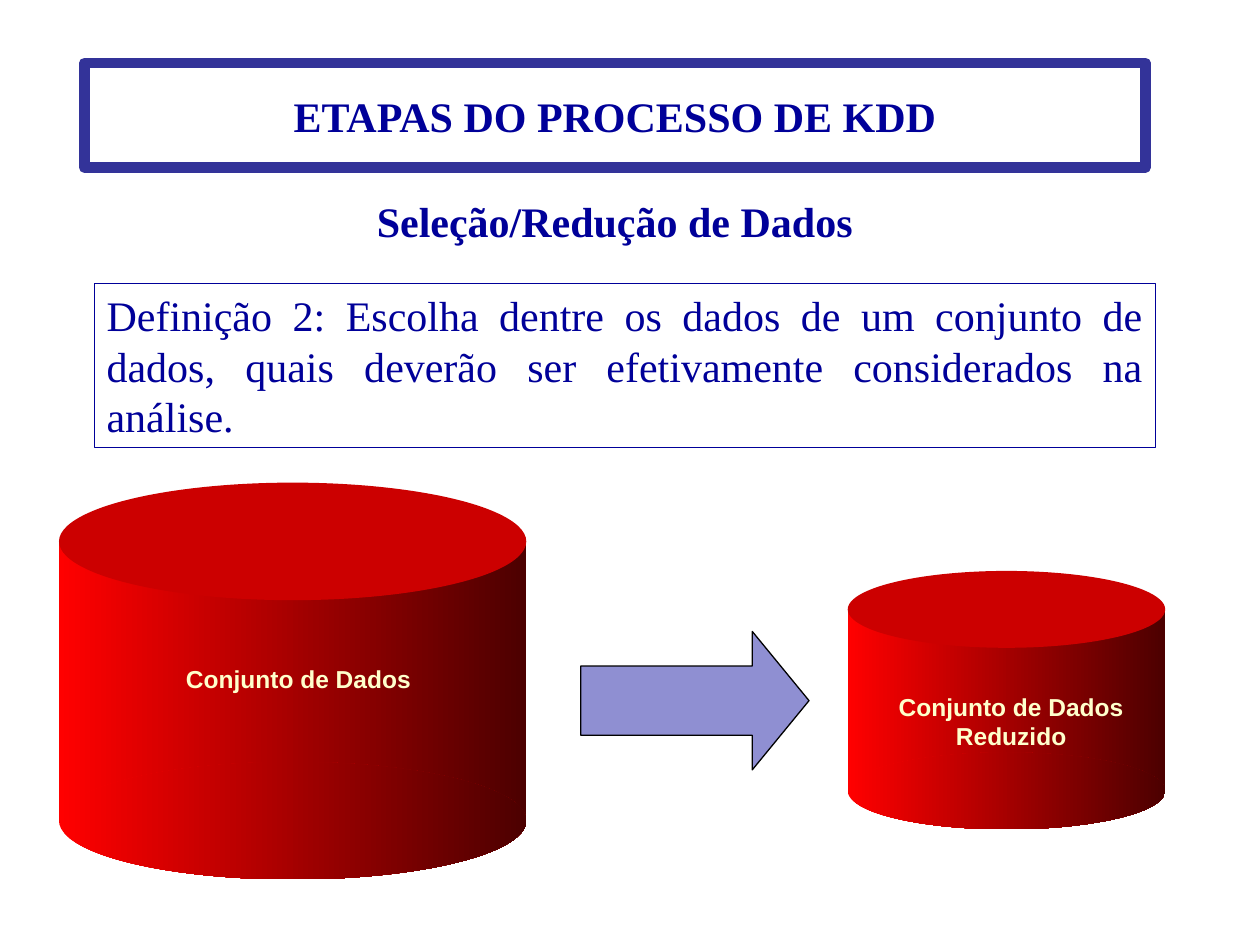
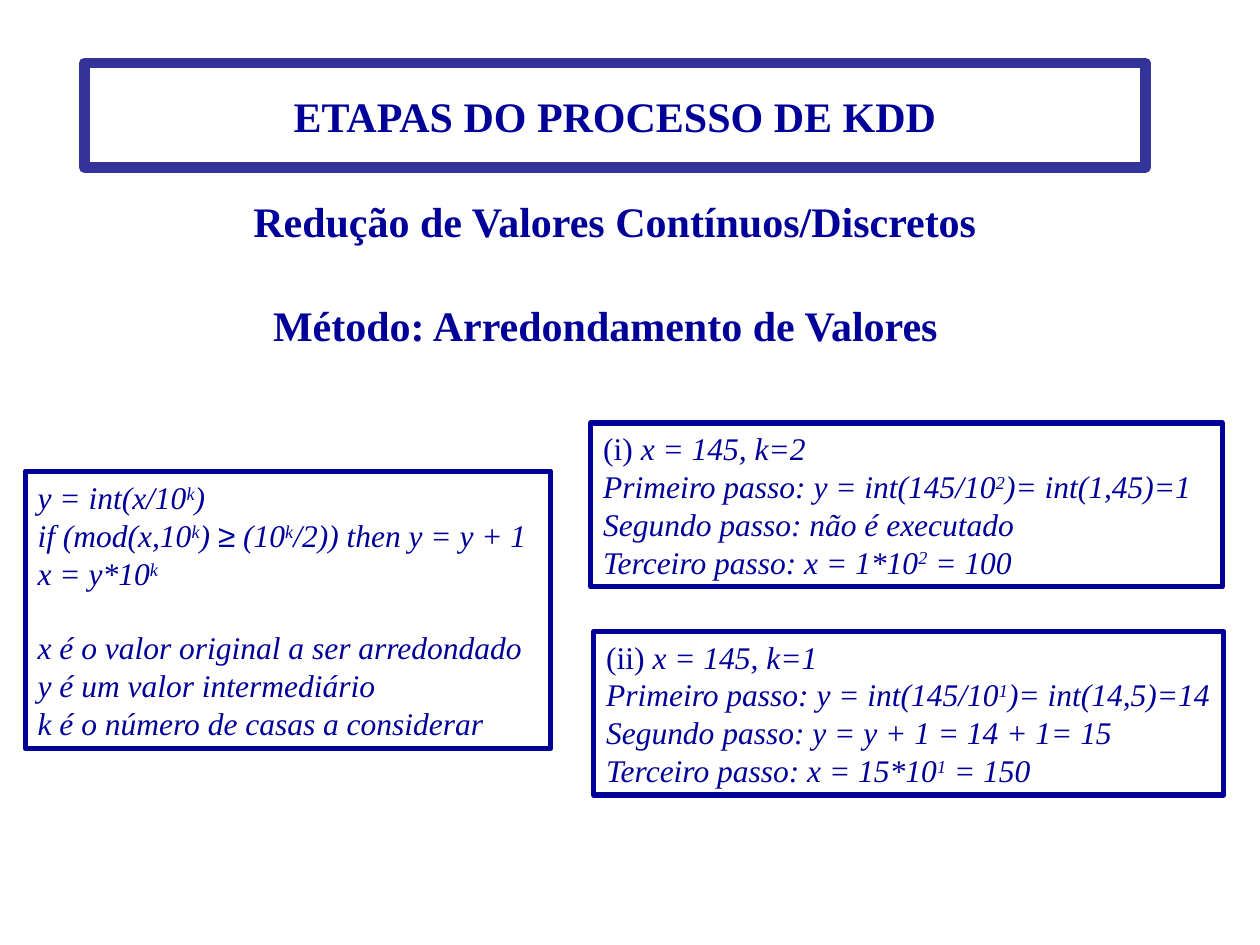
import pptx
import pptx.util
import pptx.dml.color
import pptx.enum.shapes
import pptx.enum.text
import pptx.oxml.ns
import lxml.etree

Cm = pptx.util.Cm
Pt = pptx.util.Pt
SHAPE = pptx.enum.shapes.MSO_SHAPE
ALIGN = pptx.enum.text.PP_ALIGN
ANCHOR = pptx.enum.text.MSO_ANCHOR

NAVY = "000099"
FRAME_BLUE = "333399"
RED, DARK_RED, LID_RED = "FF0000", "4C0000", "CC0000"
CREAM = "FFFFCC"
SERIF, SANS = "Times New Roman", "Arial"
BLANK_LINE = 20.7

# Marks that open a run: raised, upright, sans-serif
RUN_MARKS = {"^": {"raised": True}, "~": {"italic": False}, "@": {"font": SANS}}


def rgb(color):
    return pptx.dml.color.RGBColor.from_string(color)


def add_run(paragraph, text, font=SERIF, size=24, color=NAVY,
            bold=False, italic=False, raised=False):
    run = paragraph.add_run()
    run.text = text
    run.font.name = font
    run.font.size = Pt(size)
    run.font.color.rgb = rgb(color)
    run.font.bold = bold
    run.font.italic = italic
    if raised:
        run.font._element.set("baseline", "30000")


def write(shape, lines, align=ALIGN.LEFT, anchor=ANCHOR.TOP, wrap=True,
          gaps=None, **style):
    """Write one paragraph per line; "|" separates the runs of a line."""
    frame = shape.text_frame
    frame.word_wrap = wrap
    frame.vertical_anchor = anchor
    for number, line in enumerate(lines):
        paragraph = frame.add_paragraph() if number else frame.paragraphs[0]
        paragraph.alignment = align
        if gaps and number in gaps:
            paragraph.space_before = Pt(gaps[number])
        for piece in line.split("|"):
            change = RUN_MARKS.get(piece[0], {})
            add_run(paragraph, piece[1:] if change else piece, **{**style, **change})


class Deck:
    """Holds the shared style and the current slide."""

    def __init__(self):
        self.presentation = pptx.Presentation()
        self.presentation.slide_width = Cm(25.4)
        self.presentation.slide_height = Cm(19.05)
        self.slide = None

    def new_slide(self, subtitle):
        self.slide = self.presentation.slides.add_slide(self.presentation.slide_layouts[6])
        self.box((1.7, 1.27, 21.39, 2.11), ["ETAPAS DO PROCESSO DE KDD"], FRAME_BLUE, 6,
                 align=ALIGN.CENTER, anchor=ANCHOR.MIDDLE, bold=True)
        self.heading((1.7, 3.81, 21.39, 1.27), subtitle)

    def shape(self, kind, place, fill=None, line=None, line_width=0.75, parent=None):
        shapes = (parent or self.slide).shapes
        shape = shapes.add_shape(kind, *map(Cm, place))
        shape.shadow.inherit = False
        if fill is None:
            shape.fill.background()
        elif isinstance(fill, tuple):
            shape.fill.gradient()
            shape.fill.gradient_angle = 0
            for stop, color in zip(shape.fill.gradient_stops, fill):
                stop.color.rgb = rgb(color)
        else:
            shape.fill.solid()
            shape.fill.fore_color.rgb = rgb(fill)
        if line:
            shape.line.color.rgb = rgb(line)
            shape.line.width = Pt(line_width)
        else:
            shape.line.fill.background()
        return shape

    def box(self, place, lines, line=NAVY, line_width=0.75, **text_format):
        write(self.shape(SHAPE.RECTANGLE, place, None, line, line_width), lines, **text_format)

    def label(self, place, text, parent=None, **text_format):
        text_box = (parent or self.slide).shapes.add_textbox(*map(Cm, place))
        write(text_box, [text], align=ALIGN.CENTER, bold=True, **text_format)

    def heading(self, place, text):
        self.label(place, text)

    def formula_box(self, place, lines, **text_format):
        self.box(place, lines, line_width=3, anchor=ANCHOR.MIDDLE,
                 size=18, italic=True, **text_format)

    def cylinder(self, left, top, width, height, rim, text, text_place):
        group = self.slide.shapes.add_group_shape()
        side = (RED, DARK_RED)
        self.shape(SHAPE.RECTANGLE, (left, top + rim / 2, width, height - rim), side, parent=group)
        self.shape(SHAPE.OVAL, (left, top, width, rim), LID_RED, parent=group)
        self.shape(SHAPE.OVAL, (left, top + height - rim, width, rim), side, parent=group)
        self.label(text_place, text, group, font=SANS, size=14, color=CREAM)

    def block_arrow(self, place, opacity):
        arrow = self.shape(SHAPE.RIGHT_ARROW, place, NAVY, "000000")
        arrow.adjustments[1] = 0.41
        color = arrow._element.spPr.find(".//" + pptx.oxml.ns.qn("a:srgbClr"))
        alpha = lxml.etree.SubElement(color, pptx.oxml.ns.qn("a:alpha"))
        alpha.set("val", str(opacity * 1000))


def selection_slide(deck):
    deck.new_slide("Seleção/Redução de Dados")
    deck.box((1.9, 5.72, 21.39, 3.3),
             ["Definição 2: Escolha dentre os dados de um conjunto de dados, "
              "quais deverão ser efetivamente considerados na análise."],
             align=ALIGN.JUSTIFY)
    # Full data set, arrow, reduced data set
    deck.cylinder(1.19, 9.73, 9.42, 8, 2.37, "Conjunto de Dados", (1.55, 13.26, 8.94, 0.84))
    deck.block_arrow((11.71, 12.73, 4.6, 2.79), 44)
    deck.cylinder(17.09, 11.51, 6.4, 5.21, 1.55, "Conjunto de Dados Reduzido",
                  (17.35, 13.82, 6.07, 1.42))


def rounding_slide(deck):
    deck.new_slide("Redução de Valores Contínuos/Discretos")
    deck.heading((5.11, 5.92, 14.4, 1.27), "Método: Arredondamento de Valores ")
    # Algorithm
    deck.formula_box((0.51, 9.5, 10.59, 5.59), [
        "y = int(x/10|^k|)",
        "if (mod(x,10|^k|) |@≥| (10|^k|/2)) then y = y + 1",
        "x = y*10|^k",
        "x é o valor original a ser arredondado",
        "y é um valor intermediário",
        "k é o número de casas a considerar",
    ], gaps={3: BLANK_LINE})
    # Worked examples
    deck.formula_box((11.91, 8.53, 12.73, 3.3), [
        "~(i) |x = 145, k=2",
        "Primeiro passo: y = int(145/10|^2|)= int(1,45)=1",
        "Segundo passo: não é executado",
        "Terceiro passo: x = 1*10|^2| = 100",
    ])
    deck.formula_box((11.97, 12.73, 12.7, 3.3), [
        "~(ii) |x = 145, k=1",
        "Primeiro passo: y = int(145/10|^1|)= int(14,5)=14",
        "Segundo passo: y = y + 1 = 14 + 1= 15",
        "Terceiro passo: x = 15*10|^1| = 150",
    ], wrap=False)


def main():
    deck = Deck()
    selection_slide(deck)
    rounding_slide(deck)
    deck.presentation.save("out.pptx")


if __name__ == "__main__":
    main()
